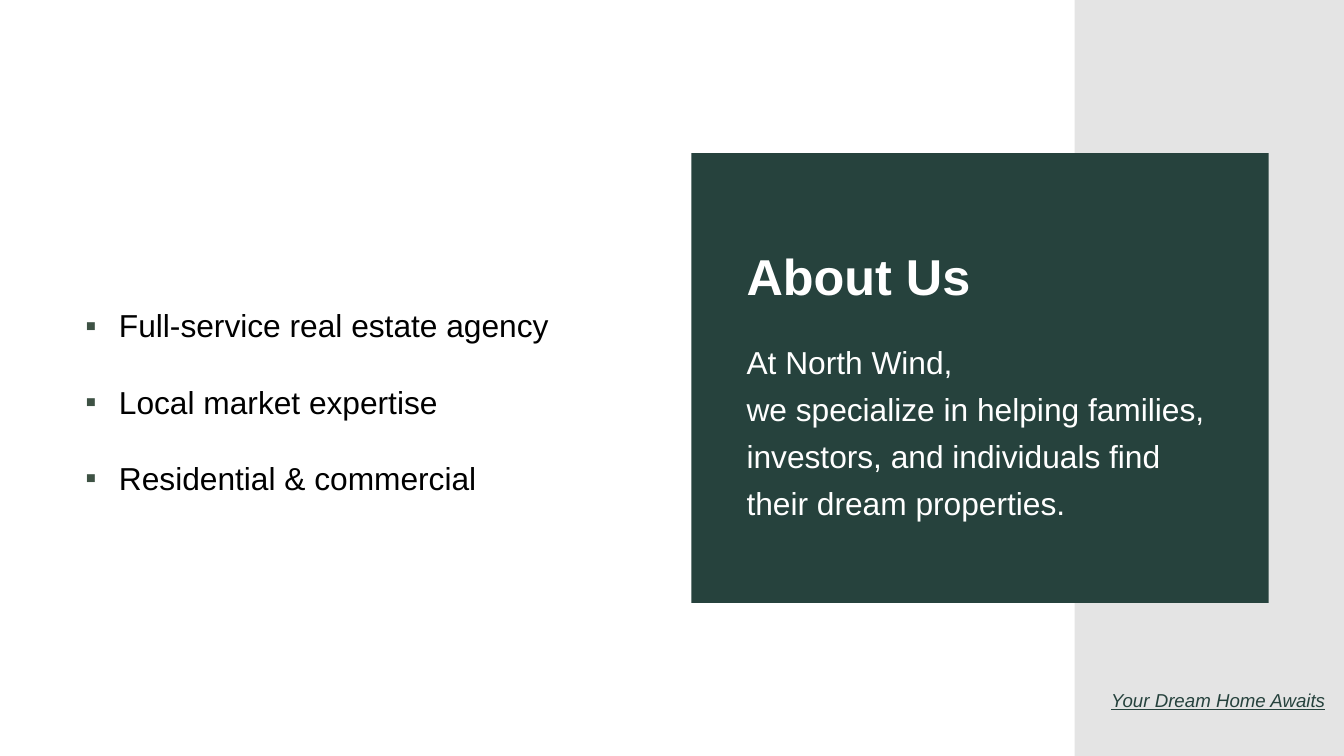
from lxml import etree
from pptx import Presentation
from pptx.dml.color import RGBColor
from pptx.enum.shapes import MSO_SHAPE
from pptx.enum.text import MSO_ANCHOR, MSO_AUTO_SIZE, PP_ALIGN
from pptx.oxml.ns import qn
from pptx.util import Inches, Pt

GREEN, GREY, WHITE, BLACK, BULLET = "26423D", "E4E4E4", "FFFFFF", "000000", "3E5244"


def color(hex_string):
    return RGBColor.from_string(hex_string)


def fill_text(shape, box, paragraphs, size, hex_string, inset=0, anchor=MSO_ANCHOR.TOP,
              paragraph_format=None, bullet=None, **font_format):
    """Place a text shape and write its paragraphs in one uniform format."""
    shape.left, shape.top, shape.width, shape.height = map(Inches, box)
    frame = shape.text_frame
    frame_format = {"word_wrap": True, "auto_size": MSO_AUTO_SIZE.NONE, "vertical_anchor": anchor}
    for side in ("left", "top", "right", "bottom"):
        frame_format[f"margin_{side}"] = Inches(inset)
    for name, value in frame_format.items():
        setattr(frame, name, value)
    for index, text in enumerate(paragraphs):
        paragraph = frame.add_paragraph() if index else frame.paragraphs[0]
        paragraph.text = text
        if bullet:
            properties = paragraph._p.get_or_add_pPr()
            properties.set("marL", str(Inches(0.5)))
            properties.set("indent", str(-Inches(0.5)))
            bullet_color = etree.SubElement(properties, qn("a:buClr"))
            etree.SubElement(bullet_color, qn("a:srgbClr"), val=BULLET)
            etree.SubElement(properties, qn("a:buFont"), typeface="Arial")
            etree.SubElement(properties, qn("a:buChar"), char=bullet)
        for name, value in (paragraph_format or {}).items():
            setattr(paragraph, name, value)
        for run in paragraph.runs:
            run.font.color.rgb = color(hex_string)
            for name, value in {"name": "Arial", "size": Pt(size), **font_format}.items():
                setattr(run.font, name, value)


presentation = Presentation()
presentation.slide_width, presentation.slide_height = Inches(20), Inches(11.25)
slide = presentation.slides.add_slide(presentation.slide_layouts[5])
slide.background.fill.solid()
slide.background.fill.fore_color.rgb = color(WHITE)

# Side band and the card that overlaps it
for box, hex_string in (((15.99, 0, 4.01, 11.25), GREY), ((10.29, 2.28, 8.59, 6.69), GREEN)):
    panel = slide.shapes.add_shape(MSO_SHAPE.RECTANGLE, *map(Inches, box))
    panel.shadow.inherit = False
    panel.fill.solid()
    panel.fill.fore_color.rgb = color(hex_string)
    panel.line.fill.background()

# The title placeholder must stand in front of the card
title = slide.shapes.title
title.element.getparent().append(title.element)
fill_text(title, (11.11, 3.5, 6.96, 1.25), ["About Us"], 54, WHITE, bold=True,
          paragraph_format={"line_spacing": Pt(75.6), "alignment": PP_ALIGN.LEFT})

introduction, services, tagline = (slide.shapes.add_textbox(0, 0, 0, 0) for _ in range(3))
fill_text(introduction, (11.11, 4.97, 6.96, 2.96),
          ["At North Wind,\vwe specialize in helping families, investors, "
           "and individuals find their dream properties."],
          34, WHITE, paragraph_format={"line_spacing": Pt(50.4)})
fill_text(services, (1.27, 3.99, 9.35, 3.73),
          ["Full-service real estate agency", "Local market expertise", "Residential & commercial"],
          34, BLACK, paragraph_format={"line_spacing": 2.0}, bullet="▪")
fill_text(tagline, (8.44, 10.12, 11.38, 0.6), ["Your Dream Home Awaits"], 20, GREEN,
          inset=0.1, anchor=MSO_ANCHOR.MIDDLE, paragraph_format={"alignment": PP_ALIGN.RIGHT},
          italic=True, underline=True)

presentation.save("out.pptx")
